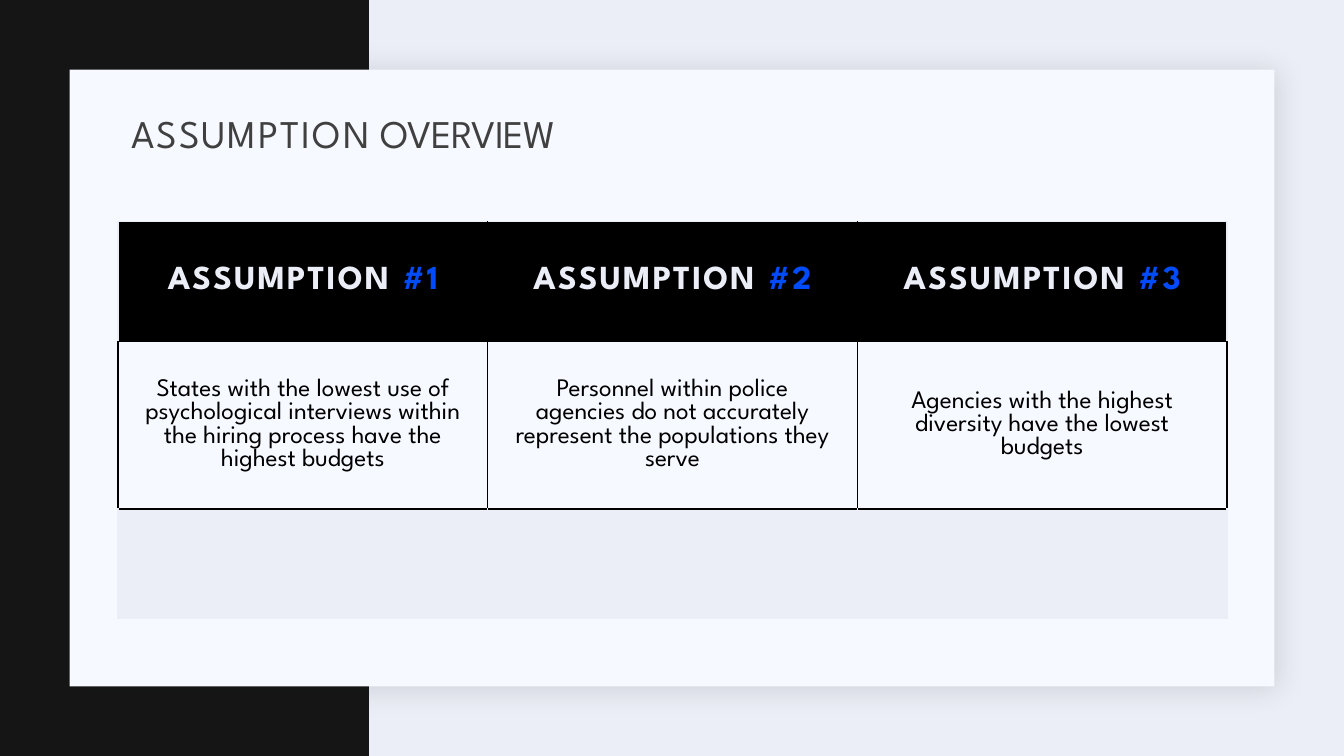
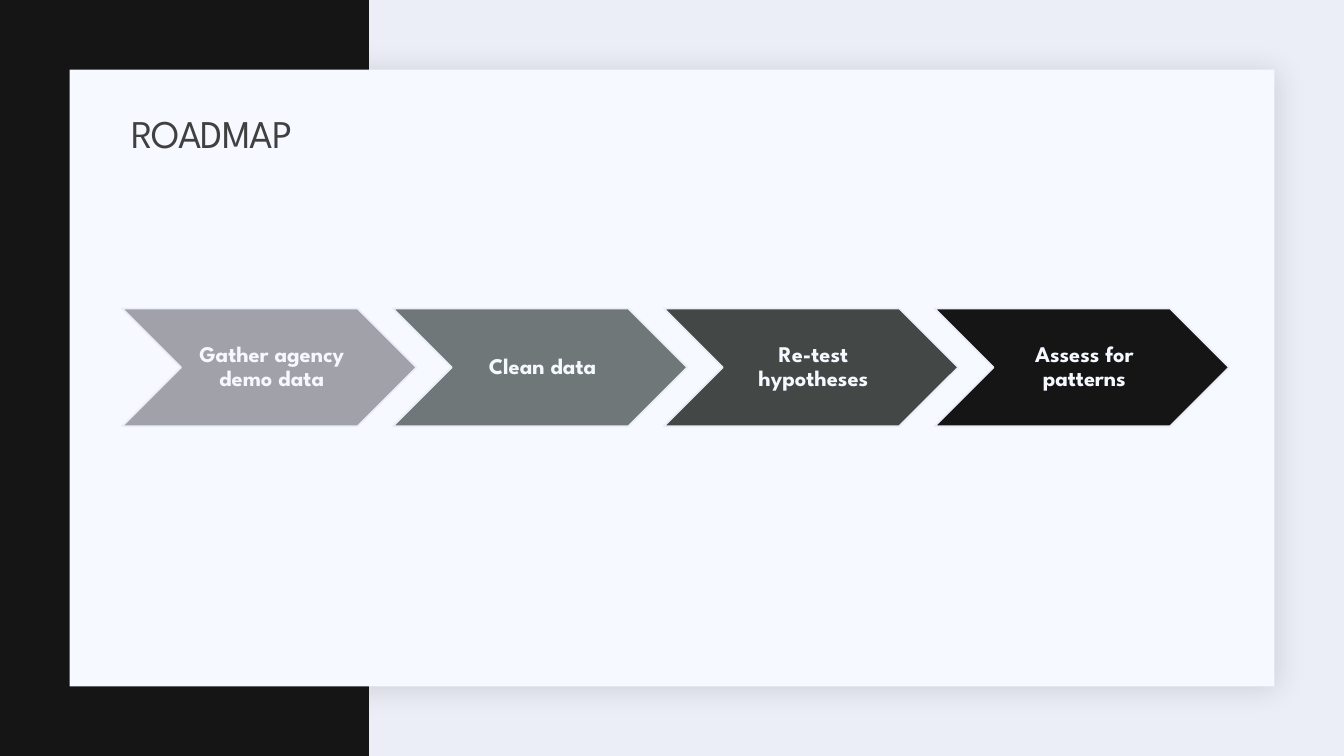
from lxml import etree
from pptx import Presentation
from pptx.dml.color import RGBColor
from pptx.enum.shapes import MSO_SHAPE
from pptx.enum.text import MSO_ANCHOR, PP_ALIGN
from pptx.oxml import parse_xml
from pptx.oxml.ns import qn
from pptx.util import Inches, Pt

RECT, CHEVRON = MSO_SHAPE.RECTANGLE, MSO_SHAPE.CHEVRON
MIDDLE = MSO_ANCHOR.MIDDLE
LEFT, CENTER = PP_ALIGN.LEFT, PP_ALIGN.CENTER
FONT = "League Spartan"
NS = "http://schemas.openxmlformats.org/drawingml/2006/main"

HEX = {
    "back": "ECEEF7", "ink": "141514", "panel": "F6F9FF", "title": "404040",
    "black": "000000", "blue": "004BFA", "shade": "1F2125", "label": "F5F8FF",
    "mist": "A1A2A9", "slate": "707779", "coal": "434745",
}

# Content: title runs are (text, letter spacing in points)
TITLES = [
    [("ASSUMPTION", 1.5), (" OVERVIEW", -0.5)],
    [("ROADMAP", -0.5)],
]
CLAIMS = [
    "States with the lowest use of psychological interviews within the hiring process have the highest budgets",
    "Personnel within police agencies do not accurately represent the populations they serve",
    "Agencies with the highest diversity have the lowest budgets",
]
STEPS = [
    ("Gather agency demo data", "mist"),
    ("Clean data", "slate"),
    ("Re-test hypotheses", "coal"),
    ("Assess for patterns", "ink"),
]

# Table rows: height, fill, outer side, inner side, top, bottom
ROWS = [
    (1.19, "black", "back", "black", "back", "black"),
    (1.66, "panel", "black", "black", "black", "black"),
    (1.09, "back", "back", "back", "black", "back"),
]

# Geometry in inches
WIDE, HIGH = 13.33, 7.5
EDGE = 0.69
BAND = 3.66
GRID = (1.17, 2.2, 11)
STEP = (1.21, 3.06, 2.92, 1.17)
PITCH = STEP[2] * 0.92


def rgb(name):
    return RGBColor.from_string(HEX[name])


def paint(shape, fill):
    shape.shadow.inherit = False
    shape.fill.solid()
    shape.fill.fore_color.rgb = rgb(fill)
    shape.line.fill.background()


def add_run(para, text, size, color, bold=False, gap=0):
    run = para.add_run()
    run.text = text
    font = run.font
    font.name, font.size, font.bold = FONT, Pt(size), bold
    font.color.rgb = rgb(color)
    run._r.get_or_add_rPr().set("spc", str(int(gap * 100)))


def add_box(slide, kind, box, fill):
    shape = slide.shapes.add_shape(kind, *map(Inches, box))
    paint(shape, fill)
    return shape


def cast(shape):
    """Soft shadow: 20 pt blur, 2 pt away, 15 % opaque."""
    effects = shape.element.spPr.find(qn("a:effectLst"))
    effects.append(parse_xml(
        f'<a:outerShdw xmlns:a="{NS}" blurRad="{Pt(20)}" dist="{Pt(2)}" '
        f'dir="2700000" algn="tl" rotWithShape="0"><a:srgbClr val="{HEX["shade"]}">'
        '<a:alpha val="15000"/></a:srgbClr></a:outerShdw>'))


def set_layout(layout, slide):
    """Background, band, panel and title place, shared by every slide."""
    layout.background.fill.solid()
    layout.background.fill.fore_color.rgb = rgb("back")
    band = add_box(slide, RECT, (0, 0, BAND, HIGH), "ink")
    panel = add_box(slide, RECT, (EDGE, EDGE, WIDE - 2 * EDGE, HIGH - 2 * EDGE), "panel")
    cast(panel)
    for i, shape in enumerate((band, panel)):
        shape.element.nvSpPr.cNvPr.set("id", str(20 + i))
        layout.shapes.element.insert(2 + i, shape.element)
    title = layout.placeholders[0]
    title.left, title.top, title.width, title.height = map(Inches, (1.2, 1.03, 11, 0.64))


def set_title(slide, runs):
    frame = slide.shapes.title.text_frame
    frame.vertical_anchor = MIDDLE
    para = frame.paragraphs[0]
    para.alignment, para.line_spacing = LEFT, 0.9
    for text, gap in runs:
        add_run(para, text, 28, "title", gap=gap)


def set_cell(cell, fill, sides):
    cell.fill.solid()
    cell.fill.fore_color.rgb = rgb(fill)
    cell.vertical_anchor = MIDDLE
    cell.margin_left = cell.margin_right = Inches(0.25)
    cell.margin_top = cell.margin_bottom = Inches(0.25)
    props = cell._tc.get_or_add_tcPr()
    for i, (side, color) in enumerate(zip("LRTB", sides)):
        line = etree.Element(qn(f"a:ln{side}"), w=str(Pt(1)))
        solid = etree.SubElement(line, qn("a:solidFill"))
        etree.SubElement(solid, qn("a:srgbClr"), val=HEX[color])
        props.insert(i, line)


def add_grid(slide):
    left, top, width = GRID
    cols = len(CLAIMS)
    high = sum(row[0] for row in ROWS)
    table = slide.shapes.add_table(
        len(ROWS), cols, *map(Inches, (left, top, width, high))).table
    for r, (tall, fill, outer, inner, above, below) in enumerate(ROWS):
        table.rows[r].height = Inches(tall)
        for c in range(cols):
            sides = (inner if c else outer, inner if c < cols - 1 else outer, above, below)
            set_cell(table.cell(r, c), fill, sides)
    for c, claim in enumerate(CLAIMS):
        head, body = (table.cell(r, c).text_frame.paragraphs[0] for r in (0, 1))
        head.alignment = body.alignment = CENTER
        add_run(head, "ASSUMPTION ", 24, "back", True, 1.5)
        add_run(head, f"#{c + 1}", 24, "blue", True, 1.5)
        add_run(body, claim, 18, "black")


def add_steps(slide):
    left, top, width, height = STEP
    for i, (text, fill) in enumerate(STEPS):
        step = add_box(slide, CHEVRON, (left + i * PITCH, top, width, height), fill)
        step.line.color.rgb = rgb("back")
        step.line.width = Pt(1.25)
        frame = step.text_frame
        frame.word_wrap = True
        frame.vertical_anchor = MIDDLE
        frame.margin_left = Inches(0.07)
        frame.margin_right = frame.margin_top = frame.margin_bottom = Inches(0.02)
        para = frame.paragraphs[0]
        para.alignment, para.line_spacing = CENTER, 0.9
        add_run(para, text, 16, "label", True)


def main():
    deck = Presentation()
    deck.slide_width, deck.slide_height = Inches(WIDE), Inches(HIGH)
    layout = deck.slide_layouts[5]
    slides = [deck.slides.add_slide(layout) for _ in TITLES]
    set_layout(layout, slides[0])
    for slide, runs, draw in zip(slides, TITLES, (add_grid, add_steps)):
        set_title(slide, runs)
        draw(slide)
    deck.save("out.pptx")


if __name__ == "__main__":
    main()
